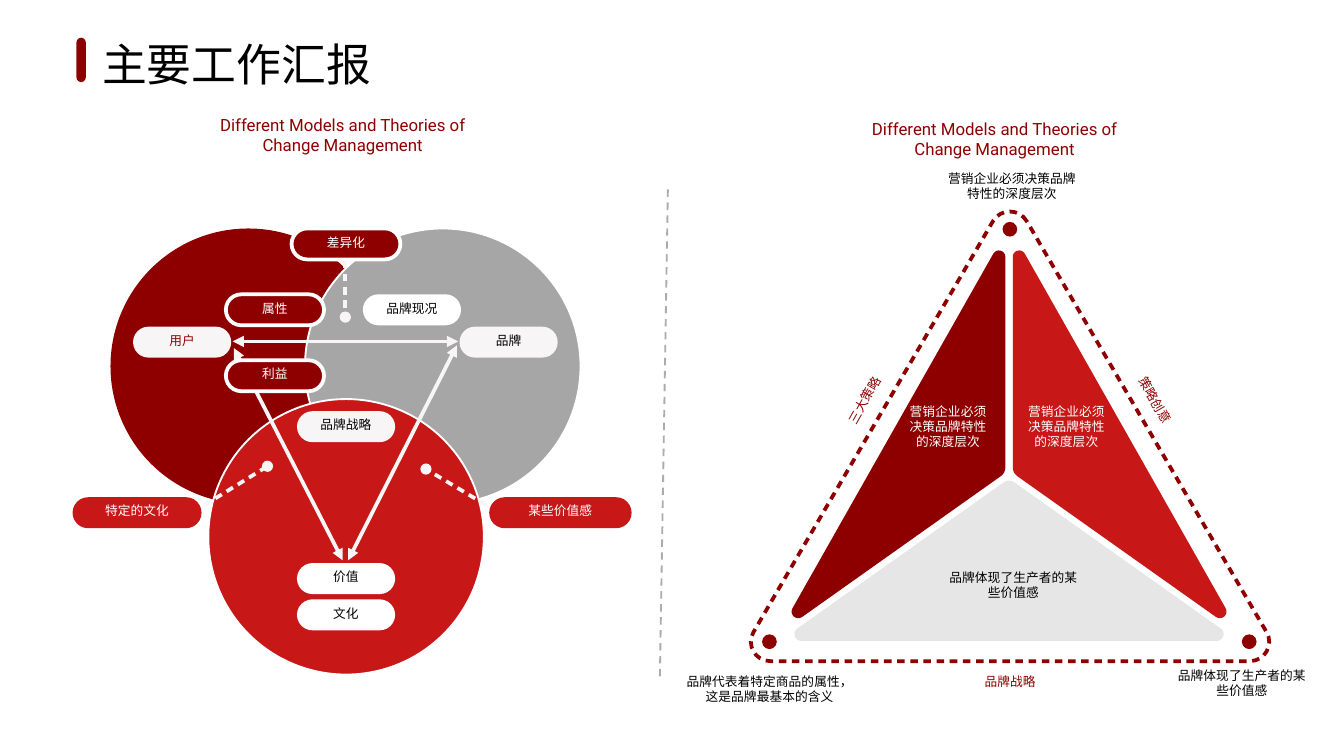
"""Build the work report slide: a three-circle brand model beside a strategy triangle."""
from math import acos, dist, pi, tan

from pptx import Presentation
from pptx.dml.color import RGBColor
from pptx.enum.dml import MSO_LINE
from pptx.enum.shapes import MSO_CONNECTOR, MSO_SHAPE as Preset
from pptx.enum.text import MSO_ANCHOR as Anchor, MSO_AUTO_SIZE as AutoSize, PP_ALIGN as Align
from pptx.oxml.ns import qn
from pptx.util import Pt
from lxml.etree import SubElement

COLORS = {
    "maroon": "8E0000",
    "red": "C71717",
    "gray": "A6A6A6",
    "pale": "E7E6E6",
    "mist": "F7F5F6",
    "divider": "AFABAB",
    "white": "FFFFFF",
    "black": "000000",
}
AXIS = 540.6
PILL_HEIGHT = 16.6


def rgb(name):
    return RGBColor.from_string(COLORS[name])


def paint(shape, fill=None, line=None, width=1):
    shape.shadow.inherit = False
    if fill:
        shape.fill.solid()
        shape.fill.fore_color.rgb = rgb(fill)
    else:
        shape.fill.background()
    if line:
        shape.line.color.rgb = rgb(line)
        shape.line.width = Pt(width)
    else:
        shape.line.fill.background()


def write(shape, lines, color, size=6.8, font="Roboto", align=Align.CENTER):
    frame = shape.text_frame
    frame.text = "\n".join(lines)
    for paragraph in frame.paragraphs:
        paragraph.alignment = align
        paragraph.font.size = Pt(size)
        paragraph.font.name = font
        paragraph.font.color.rgb = rgb(color)
    return frame


def set_margins(frame, bottom=1.5):
    frame.margin_left = frame.margin_right = frame.margin_top = Pt(1.5)
    frame.margin_bottom = Pt(bottom)


def add_title(slide, text):
    title = slide.shapes.title
    title.left, title.top, title.width, title.height = Pt(47.5), Pt(15.8), Pt(160), Pt(36)
    frame = write(title, [text], "black", 24, "Cabin", Align.LEFT)
    frame.word_wrap = False
    frame.auto_size = AutoSize.NONE
    frame.vertical_anchor = Anchor.TOP


def add_label(slide, left, top, width, height, lines, color, size=6.8, rotation=0):
    label = slide.shapes.add_textbox(Pt(left), Pt(top), Pt(width), Pt(height))
    label.rotation = rotation
    frame = write(label, lines, color, size)
    frame.word_wrap = True
    set_margins(frame)


def add_circle(slide, center_x, center_y, diameter, fill, line=None):
    corner = Pt(center_x - diameter / 2), Pt(center_y - diameter / 2)
    circle = slide.shapes.add_shape(Preset.OVAL, *corner, Pt(diameter), Pt(diameter))
    paint(circle, fill, line)


def add_pill(slide, left, top, width, height, fill, text="", color="white", outlined=False):
    pill = slide.shapes.add_shape(Preset.ROUNDED_RECTANGLE, Pt(left), Pt(top), Pt(width), Pt(height))
    pill.adjustments[0] = 0.5
    paint(pill, fill, "white" if outlined else None, 2)
    if text:
        frame = write(pill, [text], color)
        frame.vertical_anchor = Anchor.MIDDLE
        set_margins(frame, bottom=3.5)


def add_short_dashes(line_format):
    dashes = SubElement(line_format._get_or_add_ln(), qn("a:custDash"))
    SubElement(dashes, qn("a:ds"), d="200000", sp="150000")


def add_line(slide, start, end, color, width=2, head=None, tail=None):
    line = slide.shapes.add_connector(MSO_CONNECTOR.STRAIGHT, *map(Pt, start + end))
    line.line.color.rgb = rgb(color)
    line.line.width = Pt(width)
    SubElement(line._element.spPr, qn("a:effectLst"))
    if tail == "oval":
        add_short_dashes(line.line)
    for tag, kind in (("a:headEnd", head), ("a:tailEnd", tail)):
        if kind:
            SubElement(line.line._get_or_add_ln(), qn(tag), type=kind)
    return line


def toward(start, end, share):
    return tuple(a + (b - a) * share for a, b in zip(start, end))


def round_corner(before, corner, after, trim, steps=8):
    """Return points along the arc that replaces one corner."""
    a, b, c = dist(corner, before), dist(corner, after), dist(before, after)
    angle = acos((a * a + b * b - c * c) / (2 * a * b))
    pull = 4 / 3 * tan((pi - angle) / 4) * tan(angle / 2)
    first, last = toward(corner, before, trim / a), toward(corner, after, trim / b)
    controls = first, toward(first, corner, pull), toward(last, corner, pull), last
    arc = []
    for step in range(steps + 1):
        t = step / steps
        weights = (1 - t) ** 3, 3 * t * (1 - t) ** 2, 3 * t * t * (1 - t), t ** 3
        arc.append(tuple(sum(w * p[i] for w, p in zip(weights, controls)) for i in (0, 1)))
    return arc


def add_triangle(slide, corners, trims, fill=None, line=None):
    outline = []
    for i, trim in enumerate(trims):
        outline += round_corner(corners[i - 1], corners[i], corners[(i + 1) % 3], trim)
    points = [(Pt(x), Pt(y)) for x, y in outline]
    builder = slide.shapes.build_freeform(*points[0])
    builder.add_line_segments(points[1:], close=True)
    triangle = builder.convert_to_shape()
    paint(triangle, fill, line, 2)
    return triangle


def add_circle_model(slide):
    add_circle(slide, 133, 196.2, 147.6, "maroon")
    add_circle(slide, 237.2, 196.2, 147.6, "gray", "white")
    add_circle(slide, 185.4, 287.6, 147.6, "red", "white")

    for start, end in (
        ((245.5, 182.9), (124.6, 182.9)),
        ((183.6, 300.2), (125.3, 186.5)),
        ((186.5, 300.2), (244.8, 185)),
    ):
        add_line(slide, start, end, "mist", head="triangle", tail="triangle")

    for left, top, fill, text, color, outlined in (
        (246.2, 175, "mist", "品牌", "black", False),
        (71.3, 175, "mist", "用户", "maroon", False),
        (159.1, 220.3, "mist", "品牌战略", "black", False),
        (121, 157.7, "maroon", "属性", "white", True),
        (194.4, 157.7, "white", "品牌现况", "black", False),
        (121, 193, "maroon", "利益", "white", True),
        (159.1, 301.7, "white", "价值", "black", False),
        (159.1, 321.1, "white", "文化", "black", False),
    ):
        add_pill(slide, left, top, 52.6, PILL_HEIGHT, fill, text, color, outlined)

    add_pill(slide, 262.1, 266.4, 76.3, PILL_HEIGHT, "red", "某些价值感")
    add_pill(slide, 38.9, 266.4, 69.1, PILL_HEIGHT, "red", "特定的文化")
    add_pill(slide, 156.2, 122.4, 58.3, PILL_HEIGHT, "maroon", "差异化", outlined=True)
    for start, end in (
        ((185, 139.7), (185, 169.9)),
        ((260.6, 270.7), (228.2, 251.3)),
        ((109.4, 270.7), (143.3, 249.8)),
    ):
        add_line(slide, start, end, "mist", tail="oval")


def add_strategy_triangle(slide):
    frame = add_triangle(slide, [(541, 103), (394.6, 354.2), (687.6, 354.2)], [18] * 3, line="maroon")
    add_short_dashes(frame.line)

    left_part = [(538.6, 124.6), (538.6, 253.4), (416.7, 339.8)]
    right_part = [(2 * AXIS - x, y) for x, y in left_part]
    add_triangle(slide, left_part, [13, 3, 16], "maroon")
    add_triangle(slide, right_part, [13, 3, 16], "red")
    add_triangle(slide, [(AXIS, 256.4), (417.8, 343.4), (663.4, 343.4)], [3.5, 11.5, 11.5], "pale")
    for center in ((541, 122.8), (669.2, 343.8), (412.2, 343.8)):
        add_circle(slide, *center, 7.9, "maroon")

    depth = "营销企业必须决策品牌特性的深度层次"
    value = "品牌体现了生产者的某些价值感"
    for left, top, width, height, text, color, rotation in (
        (547.2, 214.6, 48.2, 27.4, depth, "white", 0),
        (483.8, 214.6, 48.2, 27.4, depth, "white", 0),
        (505.4, 90, 73.4, 19.4, depth, "black", 0),
        (627.1, 356.4, 76.3, 19.4, value, "black", 0),
        (504.7, 303.8, 76.3, 19.4, value, "black", 0),
        (365.8, 359.3, 92.9, 19.4, "品牌代表着特定商品的属性，这是品牌最基本的含义", "black", 0),
        (517, 359.3, 48.2, 11.5, "品牌战略", "maroon", 0),
        (594.7, 208.8, 48.2, 11.5, "策略创意", "maroon", 60.1),
        (439.2, 208.8, 48.2, 11.5, "三大策略", "maroon", 299.5),
    ):
        add_label(slide, left, top, width, height, [text], color, rotation=rotation)


def main():
    deck = Presentation()
    deck.slide_width, deck.slide_height = Pt(720), Pt(405)
    slide = deck.slides.add_slide(deck.slide_layouts[5])
    add_title(slide, "主要工作汇报")
    add_pill(slide, 41, 20.2, 5, 23.8, "maroon")
    add_circle_model(slide)
    add_strategy_triangle(slide)
    divider = add_line(slide, (357.8, 101.5), (353.5, 364.3), "divider", 1)
    divider.line.dash_style = MSO_LINE.DASH
    for left, top in ((59, 59.8), (408.2, 61.9)):
        heading = ["Different Models and Theories of", "Change Management"]
        add_label(slide, left, top, 249.1, 25.2, heading, "maroon", 9)
    deck.save("out.pptx")


if __name__ == "__main__":
    main()
